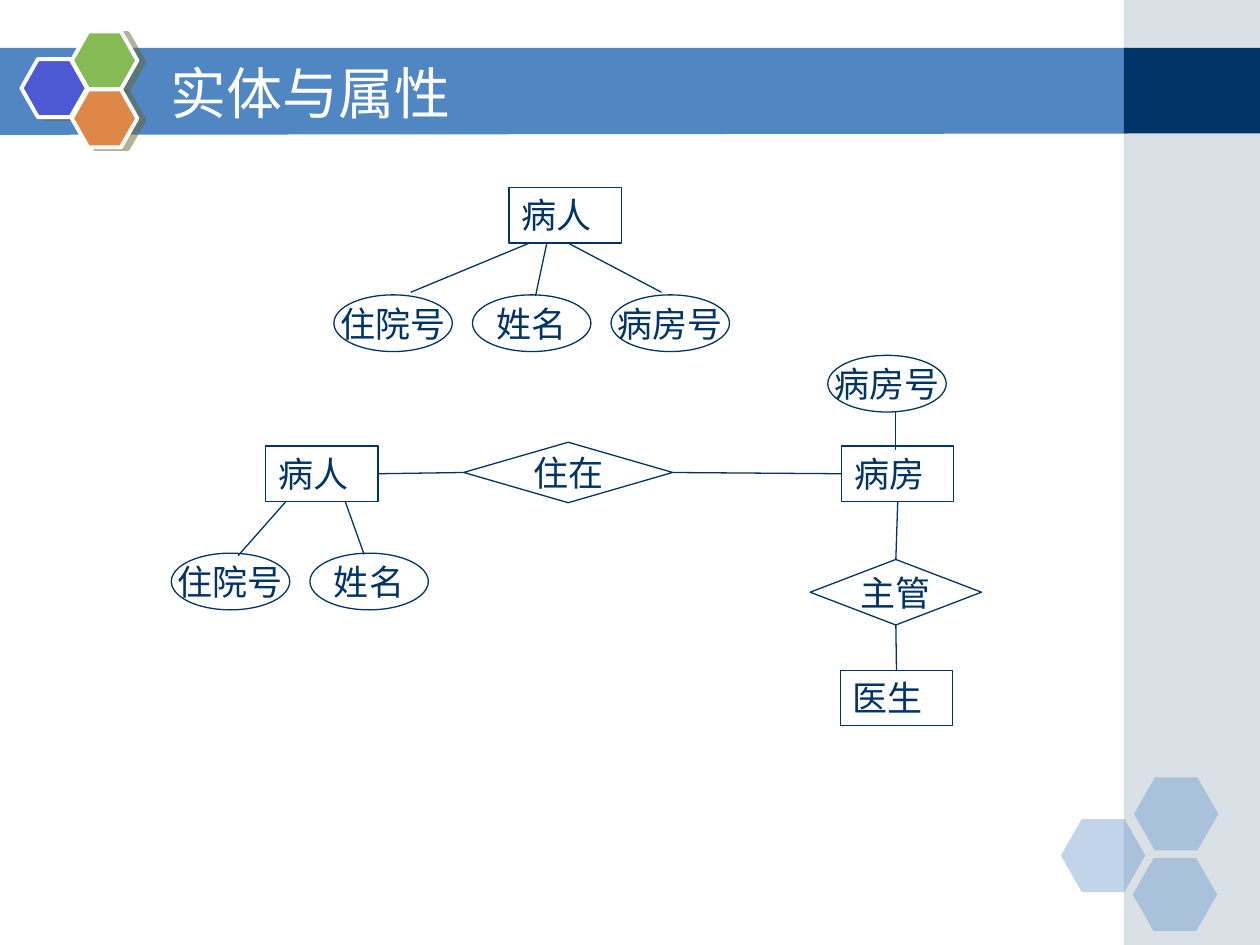
"""Build the slide on entities and attributes as an entity-relationship diagram."""
from lxml import etree
from pptx import Presentation
from pptx.dml.color import RGBColor
from pptx.enum.shapes import MSO_CONNECTOR, MSO_SHAPE
from pptx.enum.text import MSO_ANCHOR, MSO_AUTO_SIZE, PP_ALIGN
from pptx.oxml.ns import qn
from pptx.util import Inches, Pt

RECTANGLE = MSO_SHAPE.RECTANGLE
OVAL = MSO_SHAPE.OVAL
DECISION = MSO_SHAPE.FLOWCHART_DECISION
HEXAGON = MSO_SHAPE.HEXAGON
STRAIGHT = MSO_CONNECTOR.STRAIGHT
MIDDLE, TOP_ANCHOR = MSO_ANCHOR.MIDDLE, MSO_ANCHOR.TOP
CENTER, LEFT_ALIGN = PP_ALIGN.CENTER, PP_ALIGN.LEFT
FIT_SHAPE, NO_FIT = MSO_AUTO_SIZE.SHAPE_TO_FIT_TEXT, MSO_AUTO_SIZE.NONE
TOP, LEFT, BOTTOM, RIGHT = range(4)
NAVY, BLUE, WHITE = "003366", "5086C2", "FFFFFF"


def color(value):
    """Turn a hex string into a colour."""
    return RGBColor.from_string(value)


def add_color(parent, value, alpha):
    """Append a hex colour with an opacity percentage to an XML element."""
    node = etree.SubElement(parent, qn("a:srgbClr"), val=value)
    etree.SubElement(node, qn("a:alpha"), val=str(alpha * 1000))


def add_run(para, text, size, font, value):
    """Add one formatted run to a paragraph."""
    span = para.add_run()
    span.text = text
    span.font.size = Pt(size)
    span.font.name = font
    span.font.color.rgb = color(value)


def paint(shape, value, alpha=100):
    """Fill a shape without outline or shadow."""
    shape.shadow.inherit = False
    shape.fill.solid()
    shape.fill.fore_color.rgb = color(value)
    shape.line.fill.background()
    if alpha < 100:
        fill = shape._element.spPr.find(qn("a:solidFill"))
        fill.remove(fill[0])
        add_color(fill, value, alpha)


def add_shape(slide, kind, left, top, width, height):
    """Add a preset shape measured in inches."""
    return slide.shapes.add_shape(kind, Inches(left), Inches(top), Inches(width), Inches(height))


def add_panel(slide, top, height, value, alpha=100):
    """Add a block of the right-hand column."""
    paint(add_shape(slide, RECTANGLE, 8.92, top, 1.08, height), value, alpha)


def add_band(slide):
    """Draw the slightly tapered title band."""
    builder = slide.shapes.build_freeform(Inches(-0.01), Inches(0.38))
    corners = [(8.95, 0.38), (8.95, 1.06), (-0.01, 1.07)]
    builder.add_line_segments([(Inches(x), Inches(y)) for x, y in corners])
    paint(builder.convert_to_shape(), BLUE)


def add_pale_hexagon(slide, left, top):
    """Add a translucent corner hexagon."""
    hexagon = add_shape(slide, HEXAGON, left, top, 0.67, 0.58)
    hexagon.adjustments[0] = 0.286
    paint(hexagon, BLUE, 35)


def add_badge_hexagon(slide, left, top, value):
    """Add a white-edged hexagon with a hard shadow."""
    hexagon = add_shape(slide, HEXAGON, left, top, 0.52, 0.46)
    hexagon.adjustments[0] = 0.283
    paint(hexagon, value)
    hexagon.line.color.rgb = color(WHITE)
    hexagon.line.width = Pt(2.25)
    effects = hexagon._element.spPr.find(qn("a:effectLst"))
    shadow = etree.SubElement(effects, qn("a:outerShdw"), dist=str(Pt(4.1)),
                              dir=str(14 * 60000), algn="ctr", rotWithShape="0")
    add_color(shadow, "666633", 50)


def add_title(slide, text):
    """Place the title in front of its band."""
    title = slide.shapes.title
    title.left, title.top = Inches(1.25), Inches(0.42)
    title.width, title.height = Inches(7.33), Inches(0.62)
    slide.shapes._spTree.append(title._element)
    frame = title.text_frame
    frame.vertical_anchor = MIDDLE
    frame.auto_size = NO_FIT
    para = frame.paragraphs[0]
    para.alignment = LEFT_ALIGN
    add_run(para, text, 32, "DejaVu Sans", WHITE)


def add_node(slide, kind, text, left, top, width, height):
    """Add an outlined diagram node with its label."""
    node = add_shape(slide, kind, left, top, width, height)
    node.shadow.inherit = False
    node.fill.background()
    node.line.color.rgb = color(NAVY)
    node.line.width = Pt(0.75)
    is_entity = kind == RECTANGLE
    frame = node.text_frame
    frame.word_wrap = is_entity
    frame.auto_size = FIT_SHAPE if is_entity else NO_FIT
    frame.vertical_anchor = TOP_ANCHOR if is_entity else MIDDLE
    para = frame.paragraphs[0]
    para.alignment = LEFT_ALIGN if is_entity else CENTER
    add_run(para, text, 20, "Arial", NAVY)
    return node


def add_entity(slide, text, left, top):
    """Add an entity rectangle."""
    return add_node(slide, RECTANGLE, text, left, top, 0.89, 0.44)


def add_attributes(slide, names, left, top):
    """Add a row of evenly spaced attribute ellipses."""
    for index, name in enumerate(names):
        add_node(slide, OVAL, name, left + 1.1 * index, top, 0.94, 0.45)


def add_line(slide, start=(0, 0), end=(0, 0)):
    """Add a thin straight line."""
    points = [Inches(value) for value in (*start, *end)]
    line = slide.shapes.add_connector(STRAIGHT, *points)
    line.line.color.rgb = color(NAVY)
    line.line.width = Pt(0.75)
    etree.SubElement(line._element.spPr, qn("a:effectLst"))
    return line


def join(slide, first, first_side, second, second_side):
    """Connect two nodes at the middles of their sides."""
    line = add_line(slide)
    line.begin_connect(first, first_side)
    line.end_connect(second, second_side)


def add_decoration(slide):
    """Draw the band, the side column and the hexagons."""
    add_band(slide)
    add_panel(slide, 0, 7.5, "A0B5C4", 40)
    add_panel(slide, 0.38, 0.68, NAVY)
    for left, top in [(8.42, 6.5), (9, 6.17), (8.99, 6.81)]:
        add_pale_hexagon(slide, left, top)
    for left, top, value in [(0.17, 0.47, "4C59D2"), (0.57, 0.25, "85BA54"), (0.57, 0.71, "DE8848")]:
        add_badge_hexagon(slide, left, top, value)


def add_diagram(slide):
    """Draw the entities, attributes and relationships."""
    add_entity(slide, "病人", 4.04, 1.49)
    add_attributes(slide, ["住院号", "姓名", "病房号"], 2.65, 2.34)
    patient = add_entity(slide, "病人", 2.11, 3.54)
    add_attributes(slide, ["住院号", "姓名"], 1.36, 4.39)
    ward = add_entity(slide, "病房", 6.68, 3.54)
    add_attributes(slide, ["病房号"], 6.57, 2.82)
    doctor = add_entity(slide, "医生", 6.67, 5.32)
    lives_in = add_node(slide, DECISION, "住在", 3.68, 3.51, 1.66, 0.48)
    manages = add_node(slide, DECISION, "主管", 6.43, 4.44, 1.36, 0.52)

    join(slide, patient, RIGHT, lives_in, LEFT)
    join(slide, lives_in, RIGHT, ward, LEFT)
    join(slide, ward, BOTTOM, manages, TOP)
    join(slide, manages, BOTTOM, doctor, TOP)
    attribute_lines = [
        ((4.2, 1.93), (3.26, 2.32)), ((4.34, 1.93), (4.25, 2.35)), ((4.51, 1.93), (5.25, 2.32)),
        ((2.27, 3.98), (1.89, 4.41)), ((2.74, 3.98), (2.89, 4.4)), ((7.11, 3.26), (7.11, 3.57)),
    ]
    for start, end in attribute_lines:
        add_line(slide, start, end)


def main():
    """Build and save the deck."""
    deck = Presentation()
    deck.slide_width, deck.slide_height = Inches(10), Inches(7.5)
    page = deck.slides.add_slide(deck.slide_layouts[5])
    add_decoration(page)
    add_title(page, "实体与属性")
    add_diagram(page)
    deck.save("out.pptx")


if __name__ == "__main__":
    main()
